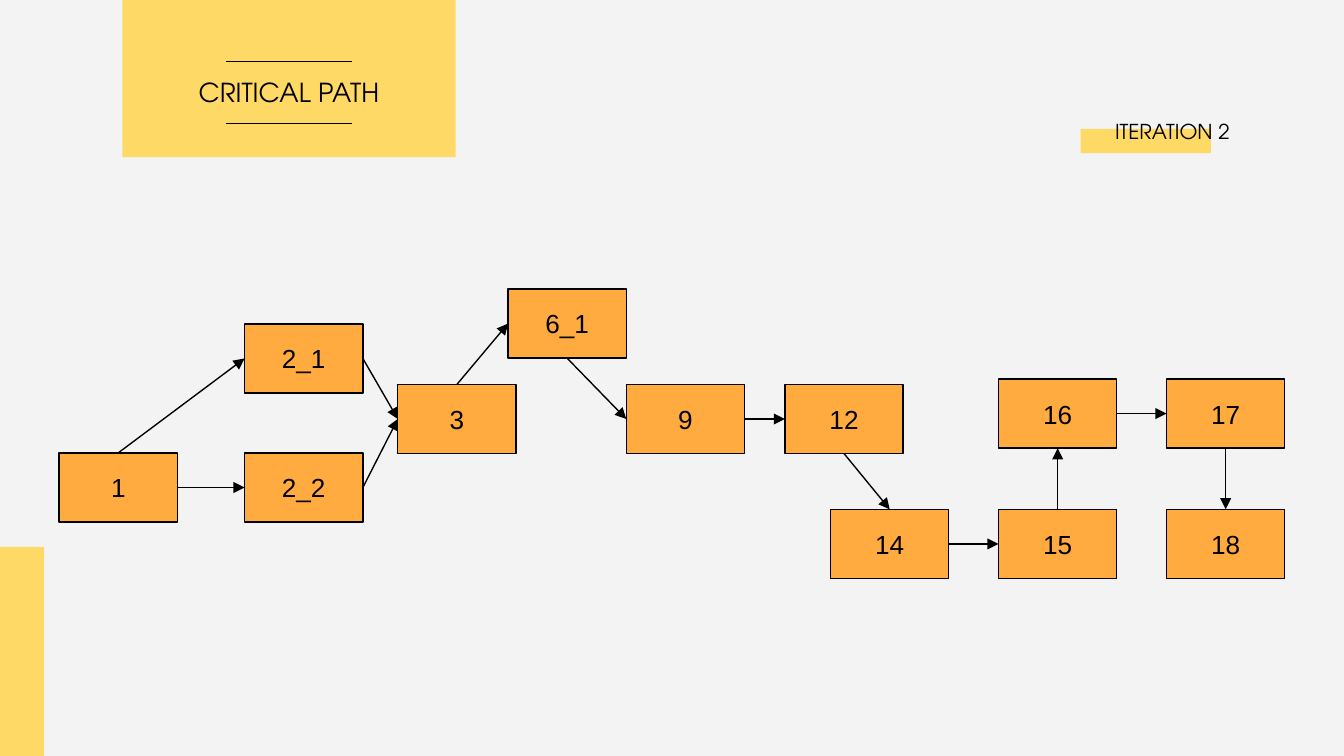
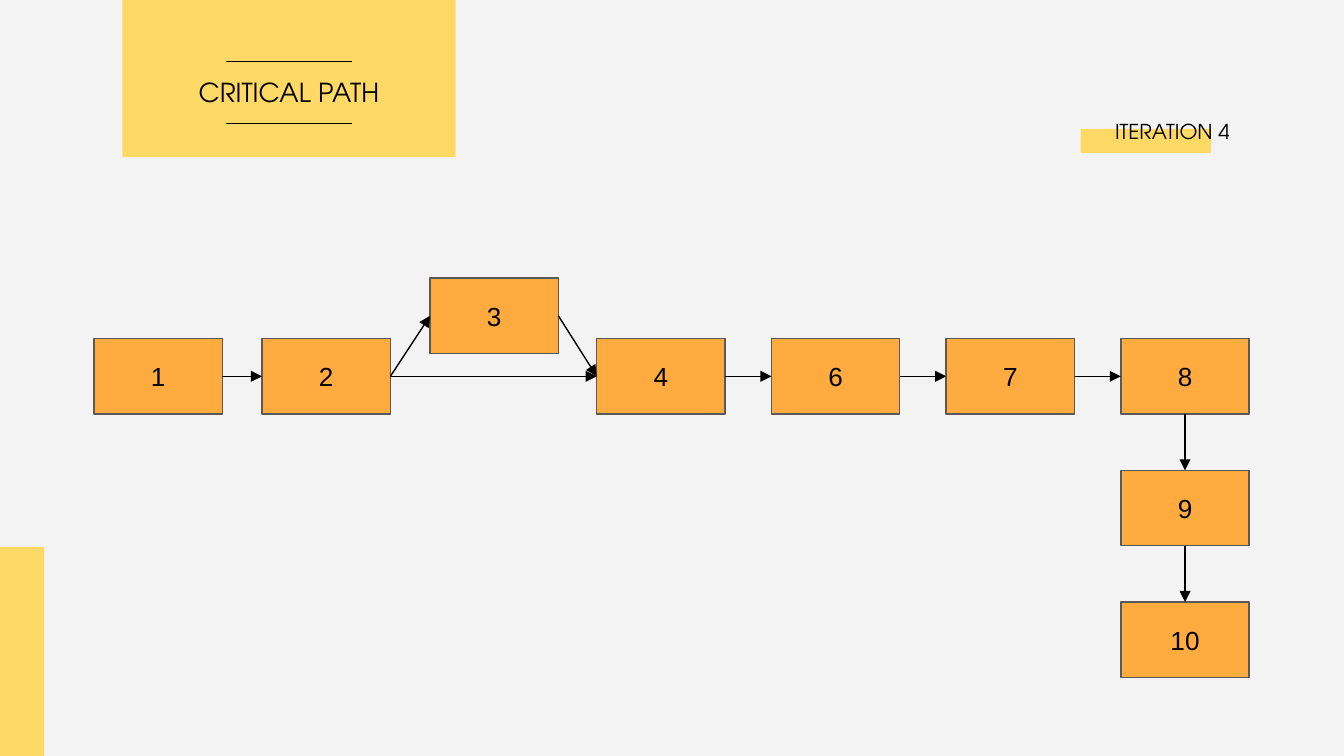
from lxml import etree
from pptx import Presentation
from pptx.dml.color import RGBColor
from pptx.enum.shapes import MSO_CONNECTOR, MSO_SHAPE
from pptx.enum.text import MSO_ANCHOR, PP_ALIGN
from pptx.oxml.ns import qn
from pptx.util import Pt

PX = 4572  # EMU per px, 200 px to the inch
PAPER = RGBColor(0xF3, 0xF3, 0xF3)
YELLOW = RGBColor(0xFF, 0xD9, 0x66)
ORANGE = RGBColor(0xFF, 0xAB, 0x40)
BLACK = RGBColor(0x00, 0x00, 0x00)
GREY = RGBColor(0x59, 0x59, 0x59)
TITLE_FONT = "TeX Gyre Adventor"
BODY_FONT = "Arial"
INSET = 20
TOP, LEFT, BOTTOM, RIGHT = range(4)  # connection sites of a rectangle

# Yellow blocks shared by both pages: left, top, width, height
BLOCKS = [(1608, 192, 194, 36), (182, -278, 496, 512), (0, 814, 66, 311)]
TITLE_RULES = [92, 184]

# Each network: node size and outline, node corners, links between sites
NETWORKS = [
    {
        "title": "ITERATION 2",
        "size": (176, 103),
        "outline": BLACK,
        "nodes": {
            "1": (88, 674), "2_1": (364, 482), "2_2": (364, 674),
            "3": (592, 572), "6_1": (756, 430), "9": (932, 572),
            "12": (1168, 572), "14": (1236, 758), "15": (1486, 758),
            "16": (1486, 564), "17": (1736, 564), "18": (1736, 758),
        },
        "links": [
            ("1", TOP, "2_1", LEFT), ("1", RIGHT, "2_2", LEFT),
            ("2_1", RIGHT, "3", LEFT), ("2_2", RIGHT, "3", LEFT),
            ("3", TOP, "6_1", LEFT), ("6_1", BOTTOM, "9", LEFT),
            ("9", RIGHT, "12", LEFT), ("12", BOTTOM, "14", TOP),
            ("14", RIGHT, "15", LEFT), ("15", TOP, "16", BOTTOM),
            ("16", RIGHT, "17", LEFT), ("17", BOTTOM, "18", TOP),
        ],
    },
    {
        "title": "ITERATION 4",
        "size": (191, 112),
        "outline": GREY,
        "nodes": {
            "1": (140, 504), "2": (390, 504), "3": (640, 414),
            "4": (888, 504), "6": (1148, 504), "7": (1408, 504),
            "8": (1668, 504), "9": (1668, 700), "10": (1668, 896),
        },
        "links": [
            ("1", RIGHT, "2", LEFT), ("2", RIGHT, "3", LEFT),
            ("2", RIGHT, "4", LEFT), ("3", RIGHT, "4", LEFT),
            ("4", RIGHT, "6", LEFT), ("6", RIGHT, "7", LEFT),
            ("7", RIGHT, "8", LEFT), ("8", BOTTOM, "9", TOP),
            ("9", BOTTOM, "10", TOP),
        ],
    },
]


def write(shape, text, font, size, align, anchor):
    frame = shape.text_frame
    frame.text = text
    frame.word_wrap = True
    frame.vertical_anchor = anchor
    frame.margin_left = frame.margin_right = INSET * PX
    frame.margin_top = frame.margin_bottom = INSET * PX
    paragraph = frame.paragraphs[0]
    paragraph.alignment = align
    span = paragraph.runs[0]
    span.font.name = font
    span.font.size = Pt(size)
    span.font.color.rgb = BLACK


def add_line(page, x1=0, y1=0, x2=0, y2=0):
    line = page.shapes.add_connector(
        MSO_CONNECTOR.STRAIGHT, x1 * PX, y1 * PX, x2 * PX, y2 * PX)
    line.line.color.rgb = BLACK
    line.line.width = Pt(0.75)
    etree.SubElement(line._element.spPr, qn("a:effectLst"))
    return line


deck = Presentation()
deck.slide_width = 2000 * PX
deck.slide_height = 1125 * PX

for network in NETWORKS:
    page = deck.slides.add_slide(deck.slide_layouts[6])
    page.background.fill.solid()
    page.background.fill.fore_color.rgb = PAPER

    # Yellow blocks
    for bounds in BLOCKS:
        block = page.shapes.add_shape(
            MSO_SHAPE.RECTANGLE, *[length * PX for length in bounds])
        block.shadow.inherit = False
        block.fill.solid()
        block.fill.fore_color.rgb = YELLOW
        block.line.fill.background()

    # Titles
    iteration = page.shapes.add_textbox(476 * PX, 156 * PX, 1374 * PX, 76 * PX)
    write(iteration, network["title"], TITLE_FONT, 11,
          PP_ALIGN.RIGHT, MSO_ANCHOR.BOTTOM)
    heading = page.shapes.add_textbox(242 * PX, 94 * PX, 376 * PX, 86 * PX)
    write(heading, "CRITICAL PATH", TITLE_FONT, 14,
          PP_ALIGN.CENTER, MSO_ANCHOR.BOTTOM)
    for y in TITLE_RULES:
        add_line(page, 336, y, 524, y)

    # Task nodes
    width, height = network["size"]
    boxes = {}
    for task, (x, y) in network["nodes"].items():
        box = page.shapes.add_shape(
            MSO_SHAPE.RECTANGLE, x * PX, y * PX, width * PX, height * PX)
        box.shadow.inherit = False
        box.fill.solid()
        box.fill.fore_color.rgb = ORANGE
        box.line.color.rgb = network["outline"]
        box.line.width = Pt(0.75)
        write(box, task, BODY_FONT, 14, PP_ALIGN.CENTER, MSO_ANCHOR.MIDDLE)
        boxes[task] = box

    # Arrows glued to the nodes
    for source, source_site, target, target_site in network["links"]:
        arrow = add_line(page)
        arrow.begin_connect(boxes[source], source_site)
        arrow.end_connect(boxes[target], target_site)
        outline = arrow.line._get_or_add_ln()
        etree.SubElement(outline, qn("a:tailEnd"), type="triangle",
                         w="med", len="med")

deck.save("out.pptx")
